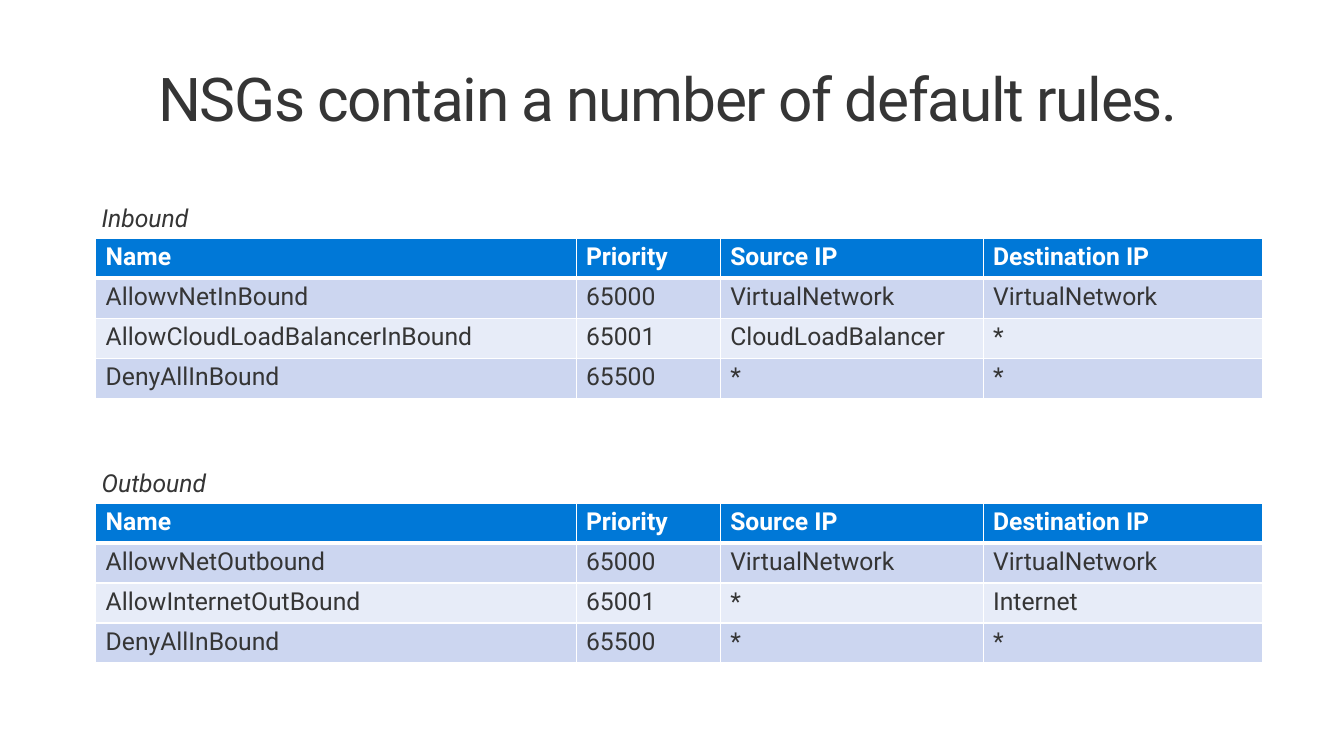
from lxml.etree import SubElement
from pptx import Presentation
from pptx.dml.color import RGBColor
from pptx.enum.text import MSO_ANCHOR, PP_ALIGN
from pptx.oxml.ns import qn
from pptx.util import Inches, Pt

TITLE = "NSGs contain a number of default rules."
HEADER = ("Name", "Priority", "Source IP", "Destination IP")
RULE_SETS = [
    ("Inbound", 2, 1.18, [
        ("AllowvNetInBound", "65000", "VirtualNetwork", "VirtualNetwork"),
        ("AllowCloudLoadBalancerInBound", "65001", "CloudLoadBalancer", "*"),
        ("DenyAllInBound", "65500", "*", "*"),
    ]),
    ("Outbound", 4.68, 1.38, [
        ("AllowvNetOutbound", "65000", "VirtualNetwork", "VirtualNetwork"),
        ("AllowInternetOutBound", "65001", "*", "Internet"),
        ("DenyAllInBound", "65500", "*", "*"),
    ]),
]
COLUMN_WIDTHS = (4.86, 1.46, 2.66, 2.83)
ROW_HEIGHT = 0.405
TABLE_LEFT, CAPTION_LEFT = 0.97, 0.93
CAPTION_HEIGHT, TABLE_OFFSET = 0.4, 0.41
WHITE, INK, BLUE = "FFFFFF", "353535", "0078D7"
BANDS = ("CCD6F0", "E7ECF8")
TITLE_FONT = {"size": Pt(44), "bold": False}
CAPTION_FONT = {"size": Pt(18), "italic": True}
HEADER_FONT = {"size": Pt(18), "bold": True}
BODY_FONT = {"size": Pt(18), "bold": False}


def set_color(color_format, value):
    color_format.rgb = RGBColor.from_string(value)


def set_attributes(target, values):
    for name, value in values.items():
        setattr(target, name, value)


def write_text(text_frame, text, font_values, color):
    run = text_frame.paragraphs[0].add_run()
    run.text = text
    set_attributes(run.font, {"name": "Roboto", **font_values})
    set_color(run.font.color, color)
    return run


def set_borders(cell, bottom_width):
    properties = cell._tc.get_or_add_tcPr()
    widths = {"a:lnL": 1, "a:lnR": 1, "a:lnT": 1, "a:lnB": bottom_width}
    for position, (tag, width) in enumerate(widths.items()):
        line = SubElement(properties, qn(tag), w=str(Pt(width)))
        fill = SubElement(line, qn("a:solidFill"))
        SubElement(fill, qn("a:srgbClr"), val=WHITE)
        properties.insert(position, line)


def add_title(slide):
    title = slide.shapes.title
    set_attributes(title, {"left": Inches(0.26), "top": Inches(0.6),
                           "width": Inches(13), "height": Inches(1)})
    set_attributes(title.text_frame, {
        "word_wrap": True, "vertical_anchor": MSO_ANCHOR.TOP,
        "margin_left": Inches(0.16), "margin_right": Inches(0.16),
        "margin_top": Inches(0.1), "margin_bottom": Inches(0.1)})
    set_attributes(title.text_frame.paragraphs[0],
                   {"alignment": PP_ALIGN.CENTER, "line_spacing": 0.9})
    run = write_text(title.text_frame, TITLE, TITLE_FONT, INK)
    run.font._element.set("spc", "-100")


def add_caption(slide, text, top, width):
    caption = slide.shapes.add_textbox(
        Inches(CAPTION_LEFT), Inches(top), Inches(width), Inches(CAPTION_HEIGHT))
    caption.text_frame.word_wrap = True
    write_text(caption.text_frame, text, CAPTION_FONT, INK)


def add_rule_table(slide, rules, top):
    rows = [HEADER, *rules]
    table = slide.shapes.add_table(
        len(rows), len(HEADER), Inches(TABLE_LEFT), Inches(top),
        Inches(sum(COLUMN_WIDTHS)), Inches(ROW_HEIGHT * len(rows))).table
    for column, width in zip(table.columns, COLUMN_WIDTHS):
        column.width = Inches(width)
    for row_index, row in enumerate(rows):
        is_header = row_index == 0
        table.rows[row_index].height = Inches(ROW_HEIGHT)
        for column_index, text in enumerate(row):
            cell = table.cell(row_index, column_index)
            cell.fill.solid()
            set_color(cell.fill.fore_color,
                      BLUE if is_header else BANDS[(row_index - 1) % 2])
            set_borders(cell, 3 if is_header else 1)
            write_text(cell.text_frame, text,
                       HEADER_FONT if is_header else BODY_FONT,
                       WHITE if is_header else INK)


def main():
    presentation = Presentation()
    set_attributes(presentation, {"slide_width": Inches(13.6),
                                  "slide_height": Inches(7.65)})
    slide = presentation.slides.add_slide(presentation.slide_layouts[5])
    add_title(slide)
    for caption, top, width, rules in RULE_SETS:
        add_rule_table(slide, rules, top + TABLE_OFFSET)
        add_caption(slide, caption, top, width)
    presentation.save("out.pptx")


if __name__ == "__main__":
    main()
